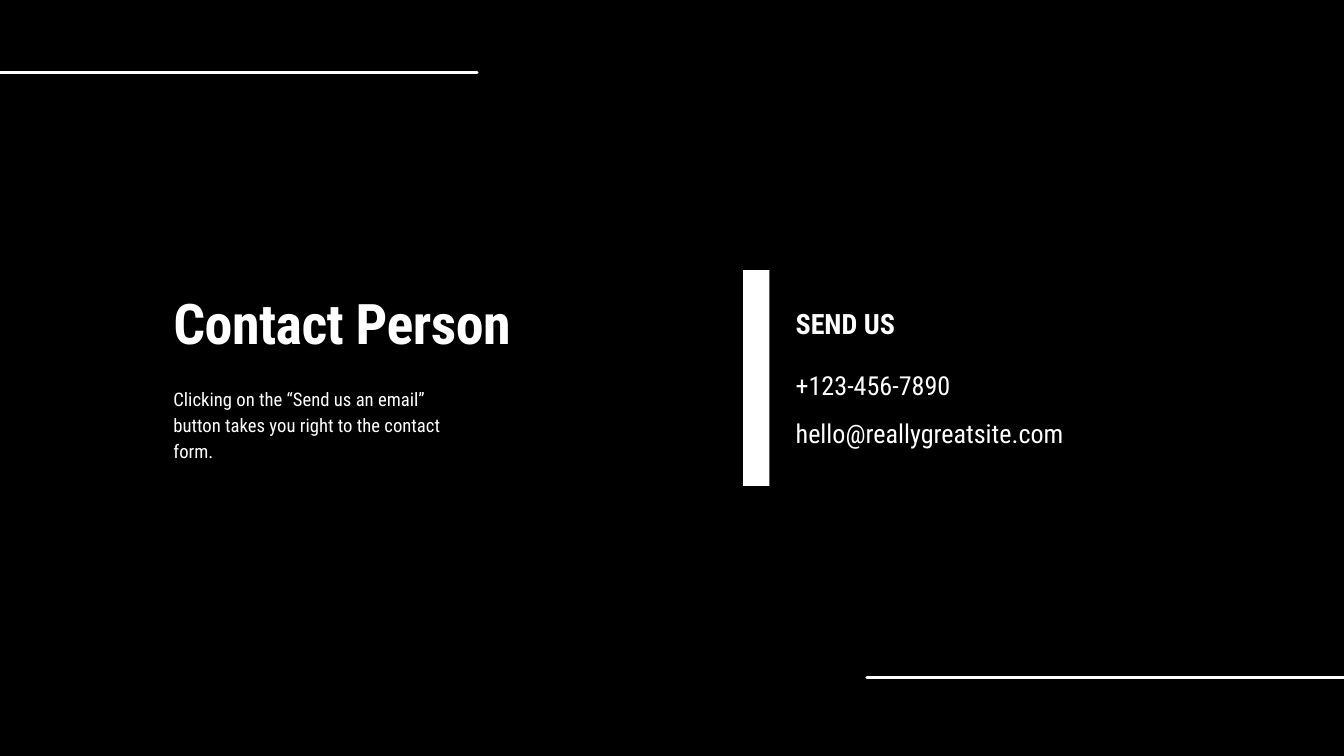
from dataclasses import dataclass

from lxml import etree
from pptx import Presentation
from pptx.dml.color import RGBColor
from pptx.enum.shapes import MSO_CONNECTOR, MSO_SHAPE
from pptx.enum.text import MSO_ANCHOR, MSO_AUTO_SIZE, PP_ALIGN
from pptx.oxml.ns import qn
from pptx.util import Pt

PX = 9144  # EMU per px, 100 px to the inch
STRAIGHT = MSO_CONNECTOR.STRAIGHT
RECTANGLE = MSO_SHAPE.RECTANGLE
TOP = MSO_ANCHOR.TOP
LEFT = PP_ALIGN.LEFT
NO_AUTOFIT = MSO_AUTO_SIZE.NONE


@dataclass(frozen=True)
class Theme:
    background: RGBColor = RGBColor(0, 0, 0)
    foreground: RGBColor = RGBColor(255, 255, 255)
    font: str = "Roboto Condensed"
    title: float = 60
    heading: float = 30
    contact: float = 28
    body: float = 20
    rule: float = 3


theme = Theme()


def px(*lengths):
    return [length * PX for length in lengths]


def write(shape, text, size, spacing, bold=False):
    """Fill a text shape with one left-aligned paragraph."""
    text_frame = shape.text_frame
    text_frame.text = text
    text_frame.word_wrap = True
    text_frame.auto_size = NO_AUTOFIT
    text_frame.vertical_anchor = TOP
    text_frame.margin_left = text_frame.margin_right = 0
    text_frame.margin_top = text_frame.margin_bottom = 0
    paragraph = text_frame.paragraphs[0]
    paragraph.alignment = LEFT
    paragraph.line_spacing = Pt(spacing)
    font = paragraph.runs[0].font
    font.name = theme.font
    font.size = Pt(size)
    font.bold = bold
    font.color.rgb = theme.foreground


presentation = Presentation()
presentation.slide_width, presentation.slide_height = px(2000, 1125)
slide = presentation.slides.add_slide(presentation.slide_layouts.get_by_name("Title Only"))
slide.background.fill.solid()
slide.background.fill.fore_color.rgb = theme.background

# Vertical bar beside the contact details
bar = slide.shapes.add_shape(RECTANGLE, *px(1106, 402, 39, 321))
bar.shadow.inherit = False
bar.fill.solid()
bar.fill.fore_color.rgb = theme.foreground
bar.line.fill.background()

# Title, slightly tightened
title = slide.shapes.title
title.left, title.top, title.width, title.height = px(258, 458, 759, 79)
write(title, "Contact Person", theme.title, 51.6, bold=True)
title.text_frame.paragraphs[0].runs[0].font._element.set("spc", "-60")

# Description and contact details: text, box, size, line spacing, bold
texts = [
    ("Clicking on the “Send us an email” button takes you right to the contact form.",
     (258, 571, 432, 116), theme.body, 28, False),
    ("SEND US", (1184, 448, 381, 58), theme.heading, 42, True),
    ("+123-456-7890", (1184, 542, 480, 55), theme.contact, 39.2, False),
    ("hello@reallygreatsite.com", (1184, 614, 558, 55), theme.contact, 39.2, False),
]
for text, box, size, spacing, bold in texts:
    write(slide.shapes.add_textbox(*px(*box)), text, size, spacing, bold)

# Rules running in from the left and right edges
for start, end, y in [(0, 710, 108), (1290, 2000, 1008)]:
    rule = slide.shapes.add_connector(STRAIGHT, *px(start, y, end, y))
    rule.line.color.rgb = theme.foreground
    rule.line.width = Pt(theme.rule)
    rule.line._ln.set("cap", "rnd")
    etree.SubElement(rule._element.spPr, qn("a:effectLst"))

presentation.save("out.pptx")
